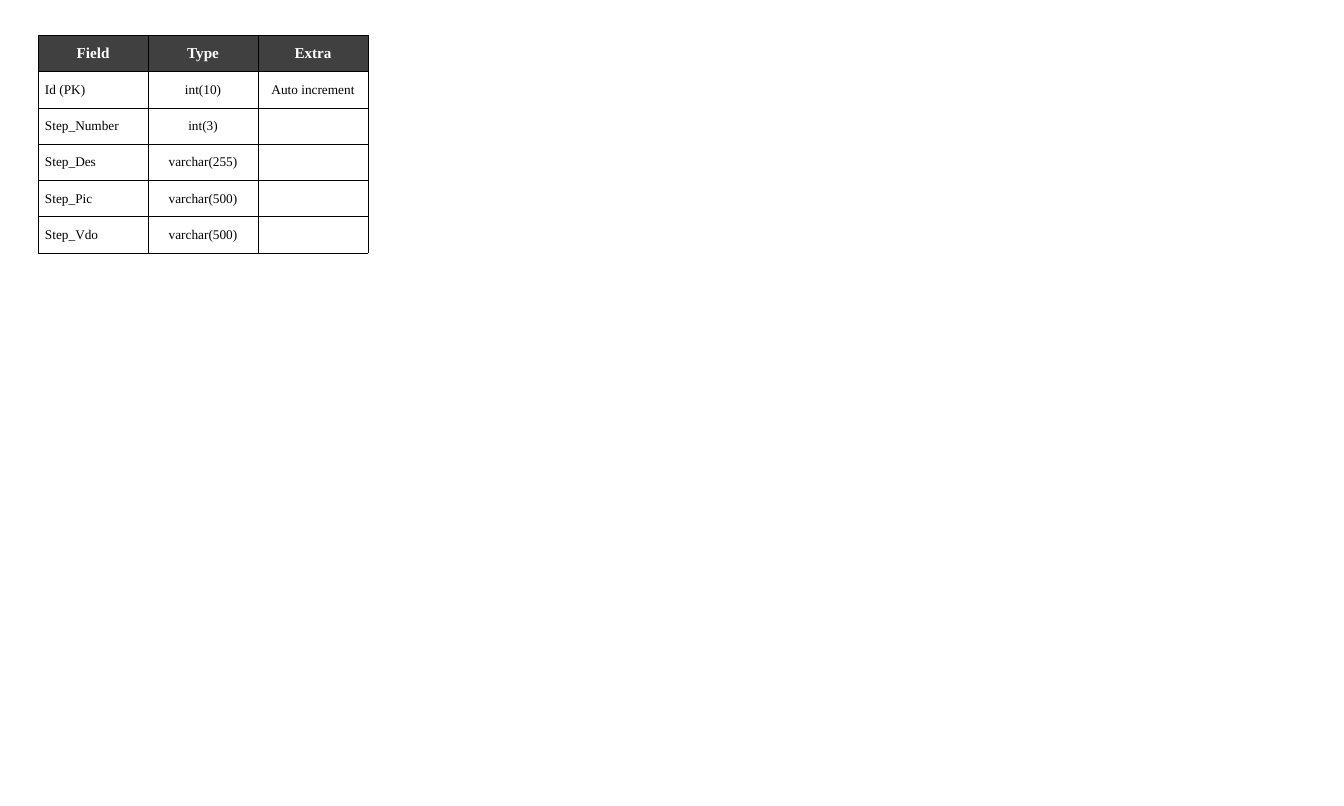
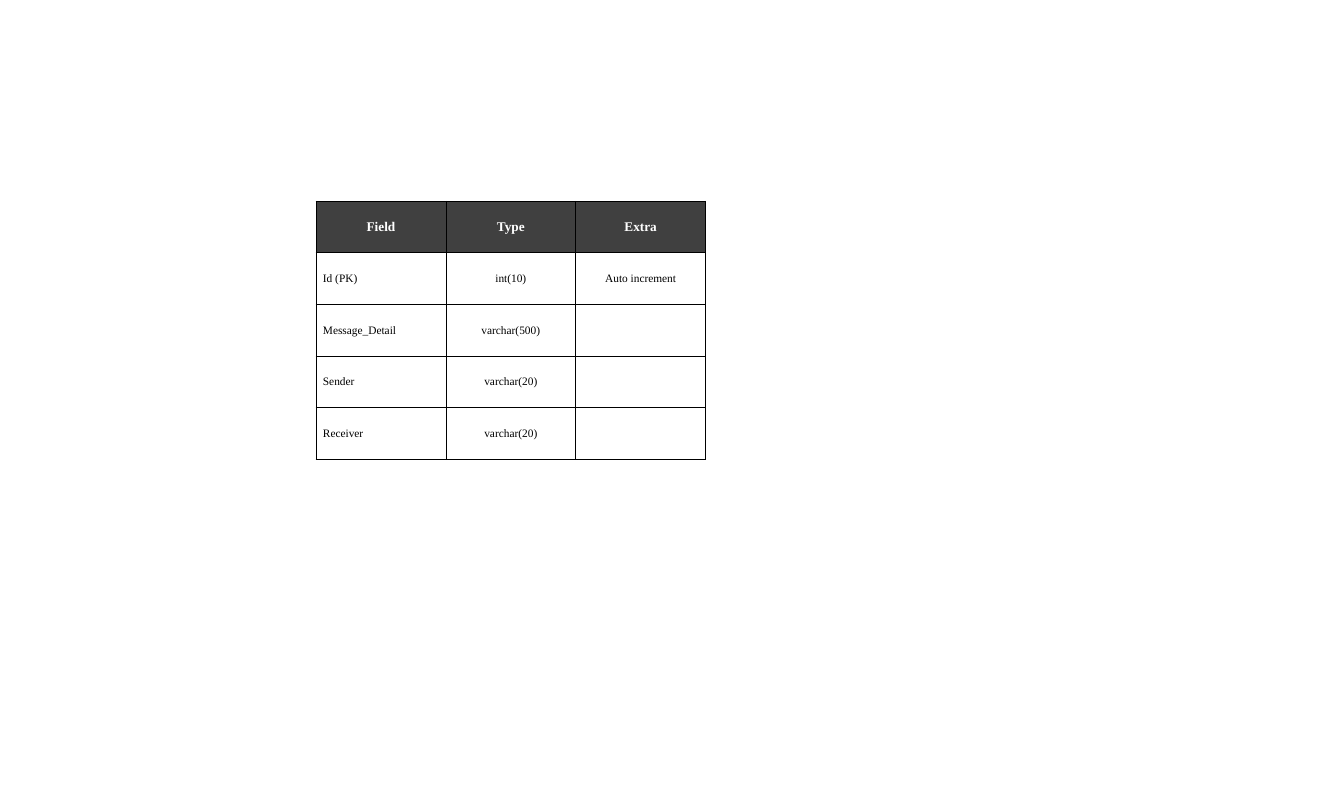
from dataclasses import dataclass

from lxml.etree import SubElement
from pptx import Presentation
from pptx.dml.color import RGBColor
from pptx.enum.text import MSO_ANCHOR, PP_ALIGN
from pptx.oxml.ns import qn
from pptx.slide import Slide
from pptx.table import _Cell
from pptx.util import Cm, Pt

COLORS = {"header": "404040", "header_text": "FFFFFF", "text": "000000", "border": "000000"}
FONT = "Times New Roman"
HEADER = ("Field", "Type", "Extra")


@dataclass(frozen=True)
class FieldTable:
    left: float
    top: float
    col_width: float
    row_height: float
    header_size: int
    body_size: int
    fields: tuple[tuple[str, str, str], ...]


TABLES = (
    FieldTable(1.42, 1.32, 4.09, 1.35, 16, 14, (
        ("Id (PK)", "int(10)", "Auto increment"),
        ("Step_Number", "int(3)", ""),
        ("Step_Des", "varchar(255)", ""),
        ("Step_Pic", "varchar(500)", ""),
        ("Step_Vdo", "varchar(500)", ""),
    )),
    FieldTable(11.76, 7.49, 4.83, 1.92, 14, 12, (
        ("Id (PK)", "int(10)", "Auto increment"),
        ("Message_Detail", "varchar(500)", ""),
        ("Sender", "varchar(20)", ""),
        ("Receiver", "varchar(20)", ""),
    )),
)


def add_borders(cell: _Cell) -> None:
    tc_pr = cell._tc.get_or_add_tcPr()
    for side in ("a:lnL", "a:lnR", "a:lnT", "a:lnB"):
        ln = SubElement(tc_pr, qn(side), w=str(Pt(1)))
        fill = SubElement(ln, qn("a:solidFill"))
        SubElement(fill, qn("a:srgbClr"), val=COLORS["border"])


def fill_cell(cell: _Cell, text: str, size: int, is_header: bool, centered: bool) -> None:
    add_borders(cell)
    cell.vertical_anchor = MSO_ANCHOR.MIDDLE
    if is_header:
        cell.fill.solid()
        cell.fill.fore_color.rgb = RGBColor.from_string(COLORS["header"])
    else:
        cell.fill.background()
    if not text:
        return
    p = cell.text_frame.paragraphs[0]
    p.alignment = PP_ALIGN.CENTER if centered else PP_ALIGN.LEFT
    r = p.add_run()
    r.text = text
    for name, value in {"name": FONT, "size": Pt(size), "bold": is_header}.items():
        setattr(r.font, name, value)
    color = COLORS["header_text" if is_header else "text"]
    r.font.color.rgb = RGBColor.from_string(color)


def draw_table(s: Slide, spec_table: FieldTable) -> None:
    t = spec_table
    rows = (HEADER, *t.fields)
    table = s.shapes.add_table(
        len(rows), len(HEADER), Cm(t.left), Cm(t.top),
        Cm(t.col_width * len(HEADER)), Cm(t.row_height * len(rows)),
    ).table
    for name, value in {"first_row": False, "horz_banding": False}.items():
        setattr(table, name, value)
    for col in table.columns:
        col.width = Cm(t.col_width)
    for i, row in enumerate(rows):
        table.rows[i].height = Cm(t.row_height)
        is_header = i == 0
        size = t.header_size if is_header else t.body_size
        for j, text in enumerate(row):
            fill_cell(table.cell(i, j), text, size, is_header, is_header or j > 0)


prs = Presentation()
prs.slide_width, prs.slide_height = Cm(50), Cm(30)
for field_table in TABLES:
    draw_table(prs.slides.add_slide(prs.slide_layouts[6]), field_table)
prs.save("out.pptx")
